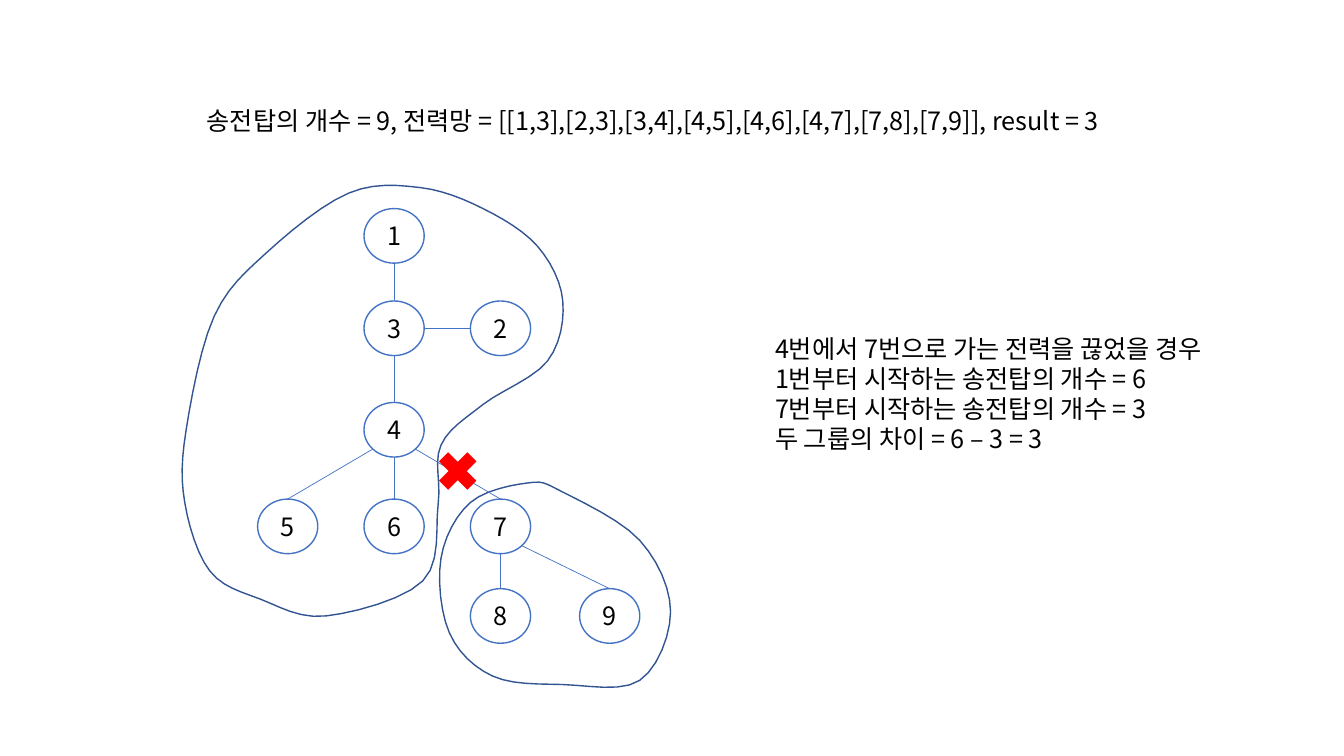
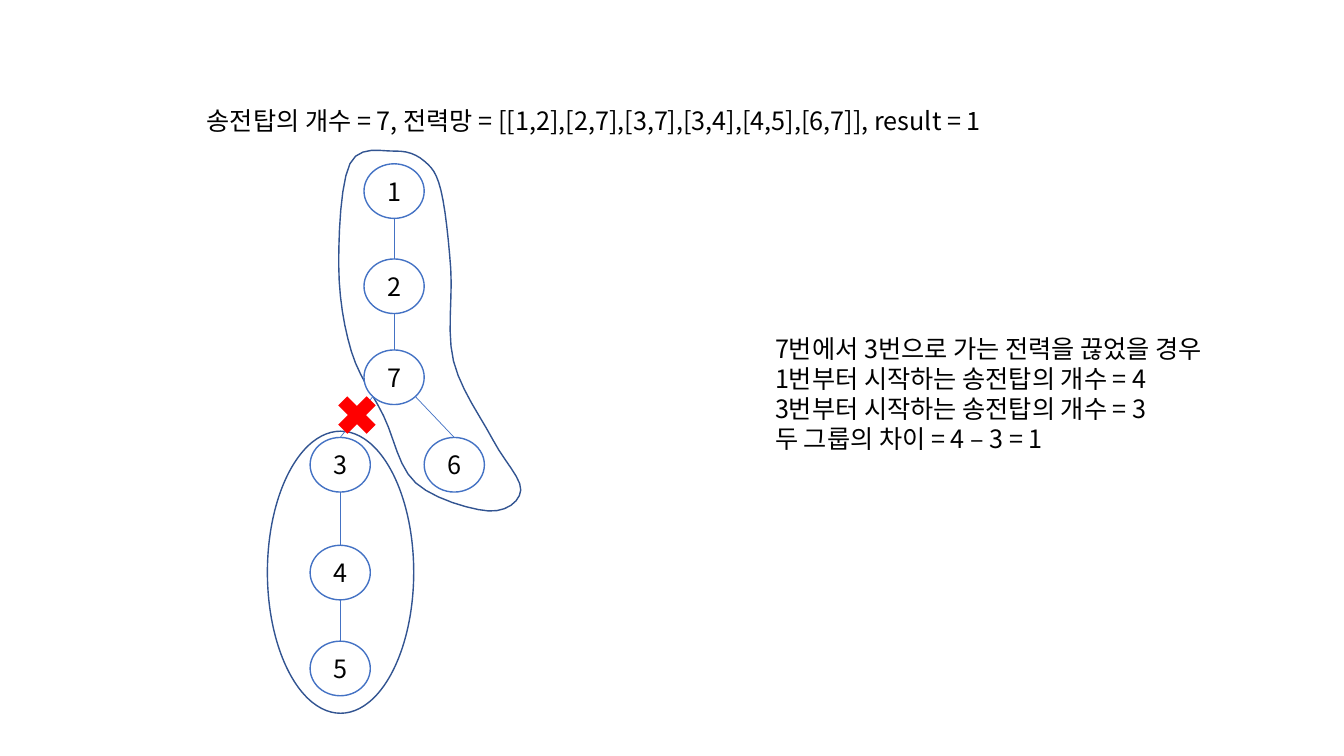
"""Build two slides that show a power grid split into two groups of towers."""
from dataclasses import dataclass
from math import sqrt

from lxml import etree
from pptx import Presentation
from pptx.dml.color import RGBColor
from pptx.enum.shapes import MSO_CONNECTOR, MSO_SHAPE
from pptx.enum.text import MSO_ANCHOR, MSO_AUTO_SIZE, PP_ALIGN
from pptx.oxml.ns import qn
from pptx.util import Pt


@dataclass(frozen=True)
class Theme:
    """Colours, type and sizes shared by both slides."""
    ink: RGBColor = RGBColor.from_string("000000")
    paper: RGBColor = RGBColor.from_string("FFFFFF")
    node: RGBColor = RGBColor.from_string("4472C4")
    group: RGBColor = RGBColor.from_string("325491")
    cut: RGBColor = RGBColor.from_string("FF0000")
    font: str = "Noto Sans CJK KR"
    size: float = 18
    leading: float = 21.5
    outline: float = 1
    wire: float = 0.5
    node_w: float = 43
    node_h: float = 39
    cross: float = 39


THEME = Theme()
TITLE_BOX = (140.4, 72, 667.4, 28.8)
NOTE_BOX = (546.5, 234.7, 363.6, 94.3)
CURVE_STEPS = 6

SLIDES = [
    {
        "title": "송전탑의 개수 = 9, 전력망 = [[1,3],[2,3],[3,4],[4,5],[4,6],[4,7],[7,8],[7,9]], result = 3",
        "cut": "47",
        "counts": (6, 3),
        "columns": (184, 260, 336, 414),
        "rows": {149: ".1", 215: ".32", 287.5: ".4", 356.5: "567", 420.5: "..89"},
        "edges": "13 32 34 45 46 47 78 79",
        "cross": (307.5, 317),
        "outlines": [
            [(377, 345), (336, 359), (315, 399), (321, 452), (352, 483),
             (402, 489), (457, 486), (479, 437), (457, 386), (401, 351)],
            [(300, 134), (249, 138), (191, 180), (153, 226), (133, 307), (132, 359),
             (150, 408), (186, 428), (233, 440), (302, 415), (313, 360), (315, 318),
             (345, 289), (391, 258), (402, 215), (384, 176), (345, 149)],
        ],
        "ovals": [],
    },
    {
        "title": "송전탑의 개수 = 7, 전력망 = [[1,2],[2,7],[3,7],[3,4],[4,5],[6,7]], result = 1",
        "cut": "73",
        "counts": (4, 3),
        "columns": (221.5, 260, 303),
        "rows": {117: ".1", 185: ".2", 250: ".7", 312.5: "3.6", 389.5: "4", 458: "5"},
        "edges": "12 27 73 76 34 45",
        "cross": (235.5, 277),
        "outlines": [
            [(282, 108), (250, 117), (242, 190), (251, 251), (274, 297), (297, 345),
             (349, 365), (372, 350), (352, 314), (324, 258), (322, 192), (315, 136),
             (303, 115)],
        ],
        "ovals": [(191, 308, 104.5, 201.5)],
    },
]


def write(tf, lines, align=PP_ALIGN.LEFT, **frame):
    """Fill a text frame with one paragraph per line."""
    for name, value in frame.items():
        setattr(tf, name, value)
    for i, line in enumerate(lines):
        p = tf.paragraphs[0] if i == 0 else tf.add_paragraph()
        p.alignment, p.line_spacing = align, Pt(THEME.leading)
        r = p.add_run()
        r.text = line
        for name, value in {"name": THEME.font, "size": Pt(THEME.size)}.items():
            setattr(r.font, name, value)
        r.font.color.rgb = THEME.ink
        ea = etree.SubElement(r._r.get_or_add_rPr(), qn("a:ea"))
        ea.set("typeface", THEME.font)


def paint(sp, fill=None, line=None):
    """Set the fill and outline of a shape and drop its shadow."""
    sp.shadow.inherit = False
    if fill is None:
        sp.fill.background()
    else:
        sp.fill.solid()
        sp.fill.fore_color.rgb = fill
    if line is None:
        sp.line.fill.background()
    else:
        sp.line.color.rgb = line
        sp.line.width = Pt(THEME.outline)


def add_preset(s, kind, box, fill=None, line=None):
    """Add a painted preset shape."""
    sp = s.shapes.add_shape(kind, *map(Pt, box))
    paint(sp, fill, line)
    return sp


def smooth(points):
    """Return a closed Catmull-Rom curve through the points."""
    n = len(points)
    curve = []
    for i in range(n):
        a, b, c, d = (points[(i + k) % n] for k in (-1, 0, 1, 2))
        for step in range(CURVE_STEPS):
            t = step / CURVE_STEPS
            curve.append(tuple(
                q + t * (r - p) / 2
                + t ** 2 * (2 * p - 5 * q + 4 * r - e) / 2
                + t ** 3 * (3 * q - p - 3 * r + e) / 2
                for p, q, r, e in zip(a, b, c, d)))
    return curve


def add_outline(s, points):
    """Draw a smooth outline around a group of towers."""
    start, *rest = [(Pt(x), Pt(y)) for x, y in smooth(points)]
    builder = s.shapes.build_freeform(*start, scale=1.0)
    builder.add_line_segments(rest, close=True)
    paint(builder.convert_to_shape(), line=THEME.group)


def add_node(s, number, left, top):
    """Add a numbered tower."""
    sp = add_preset(s, MSO_SHAPE.OVAL, (left, top, THEME.node_w, THEME.node_h),
                    THEME.paper, THEME.node)
    write(sp.text_frame, [number], PP_ALIGN.CENTER,
          vertical_anchor=MSO_ANCHOR.MIDDLE)
    return sp


def add_edge(s, parent, child):
    """Wire a parent tower to the top, or to the near side, of its child."""
    rx, ry = parent.width / 2, parent.height / 2
    cx, cy = parent.left + rx, parent.top + ry
    dx = child.left - parent.left
    end = (child.left + rx, child.top)
    if parent.top == child.top:
        start, end = (cx + rx, cy), (child.left, cy)
    elif dx == 0:
        start = (cx, cy + ry)
    else:
        start = (cx + (rx if dx > 0 else -rx) / sqrt(2), cy + ry / sqrt(2))
    wire = s.shapes.add_connector(MSO_CONNECTOR.STRAIGHT, *map(int, start + end))
    if parent.top != child.top:
        wire.end_connect(child, 0)
    wire.line.color.rgb = THEME.node
    wire.line.width = Pt(THEME.wire)
    etree.SubElement(wire._element.spPr, qn("a:effectLst"))


def add_title(s, text):
    """Place and fill the title placeholder."""
    sp = s.shapes.title
    for name, value in zip(("left", "top", "width", "height"), TITLE_BOX):
        setattr(sp, name, Pt(value))
    write(sp.text_frame, [text], word_wrap=True, vertical_anchor=MSO_ANCHOR.TOP,
          auto_size=MSO_AUTO_SIZE.SHAPE_TO_FIT_TEXT)


def add_note(s, cut, counts):
    """Explain beside the graph what the cut leaves."""
    parent, child = cut
    first, second = counts
    lines = [f"{parent}번에서 {child}번으로 가는 전력을 끊었을 경우",
             f"1번부터 시작하는 송전탑의 개수 = {first}",
             f"{child}번부터 시작하는 송전탑의 개수 = {second}",
             f"두 그룹의 차이 = {first} – {second} = {first - second}"]
    sp = s.shapes.add_textbox(*map(Pt, NOTE_BOX))
    write(sp.text_frame, lines, word_wrap=True,
          auto_size=MSO_AUTO_SIZE.SHAPE_TO_FIT_TEXT)


def add_graph(s, data):
    """Draw the groups, towers, wires and the cut."""
    for points in data["outlines"]:
        add_outline(s, points)
    for box in data["ovals"]:
        add_preset(s, MSO_SHAPE.OVAL, box, line=THEME.group)
    nodes = {number: add_node(s, number, left, top)
             for top, row in data["rows"].items()
             for left, number in zip(data["columns"], row) if number != "."}
    for parent, child in data["edges"].split():
        add_edge(s, nodes[parent], nodes[child])
    add_preset(s, MSO_SHAPE.MATH_MULTIPLY,
               (*data["cross"], THEME.cross, THEME.cross), THEME.cut)


def main():
    """Build and save the presentation."""
    prs = Presentation()
    prs.slide_width, prs.slide_height = Pt(960), Pt(540)
    for data in SLIDES:
        s = prs.slides.add_slide(prs.slide_layouts[5])
        add_title(s, data["title"])
        add_graph(s, data)
        add_note(s, data["cut"], data["counts"])
    prs.save("out.pptx")


if __name__ == "__main__":
    main()
